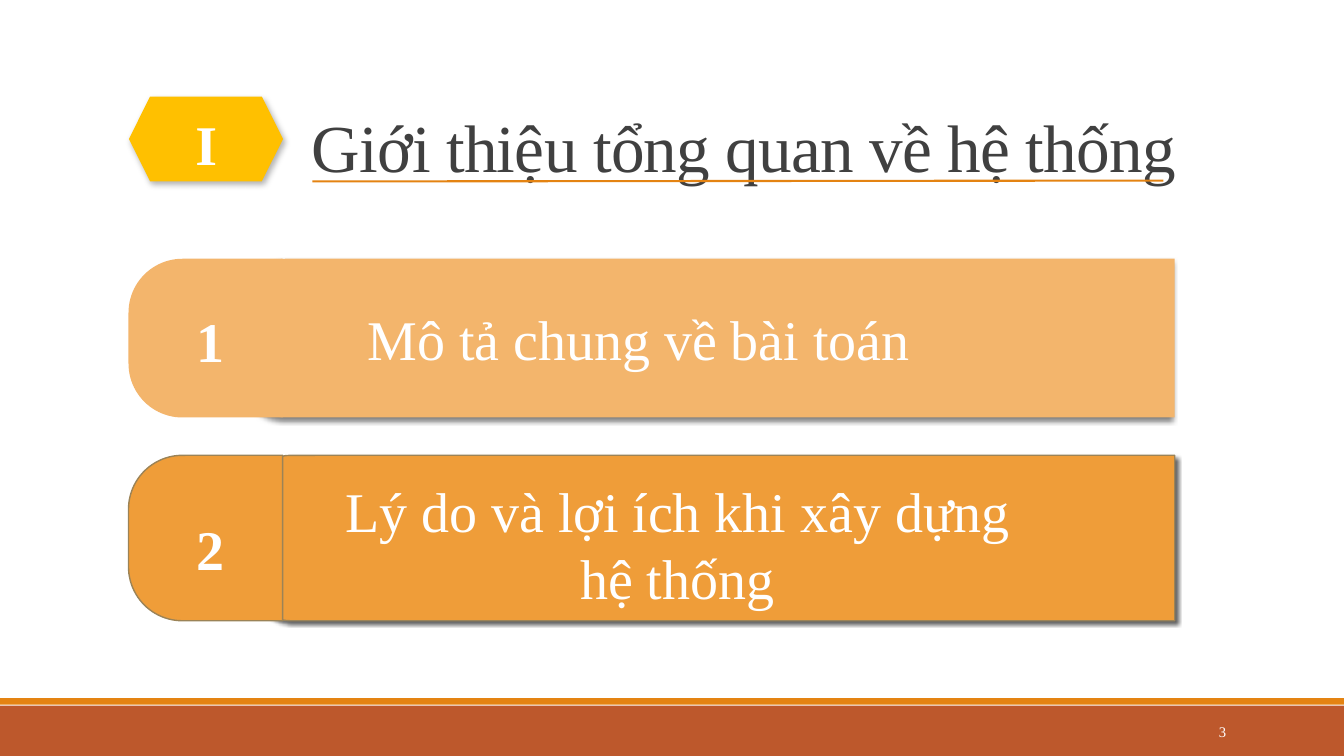
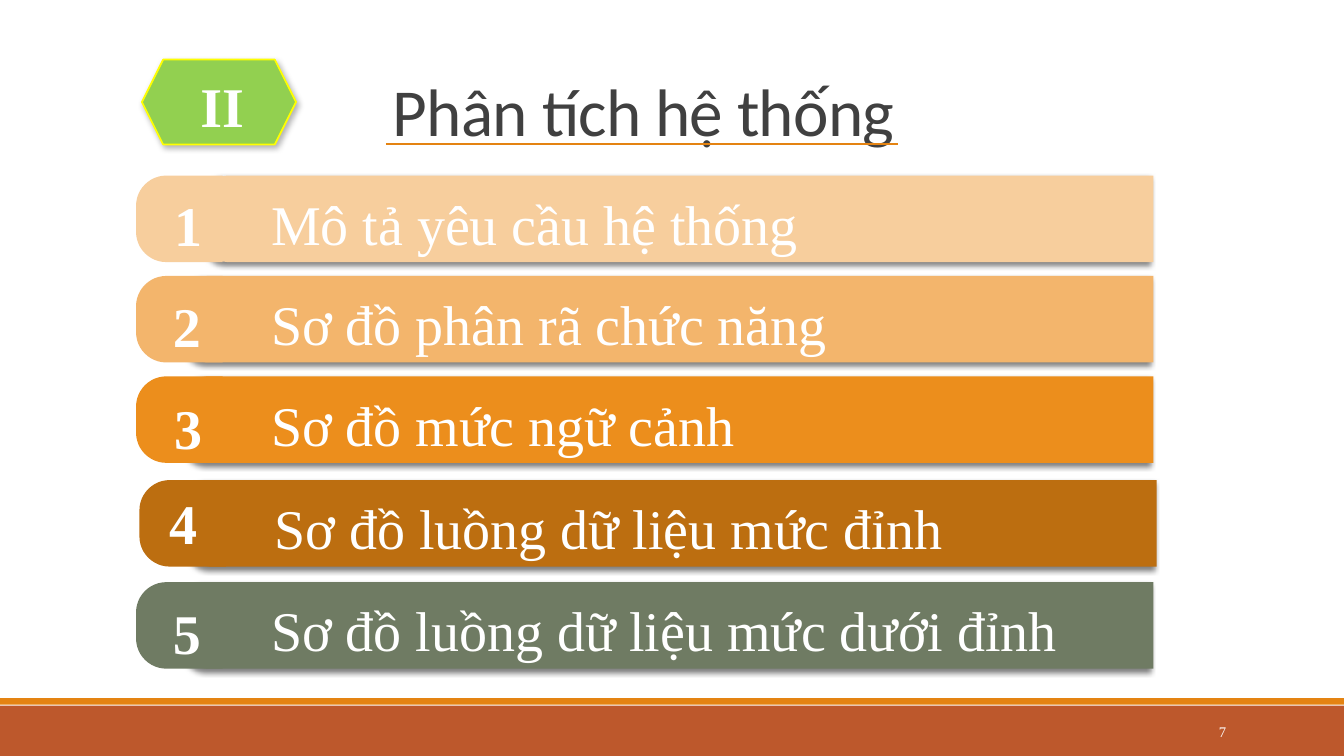
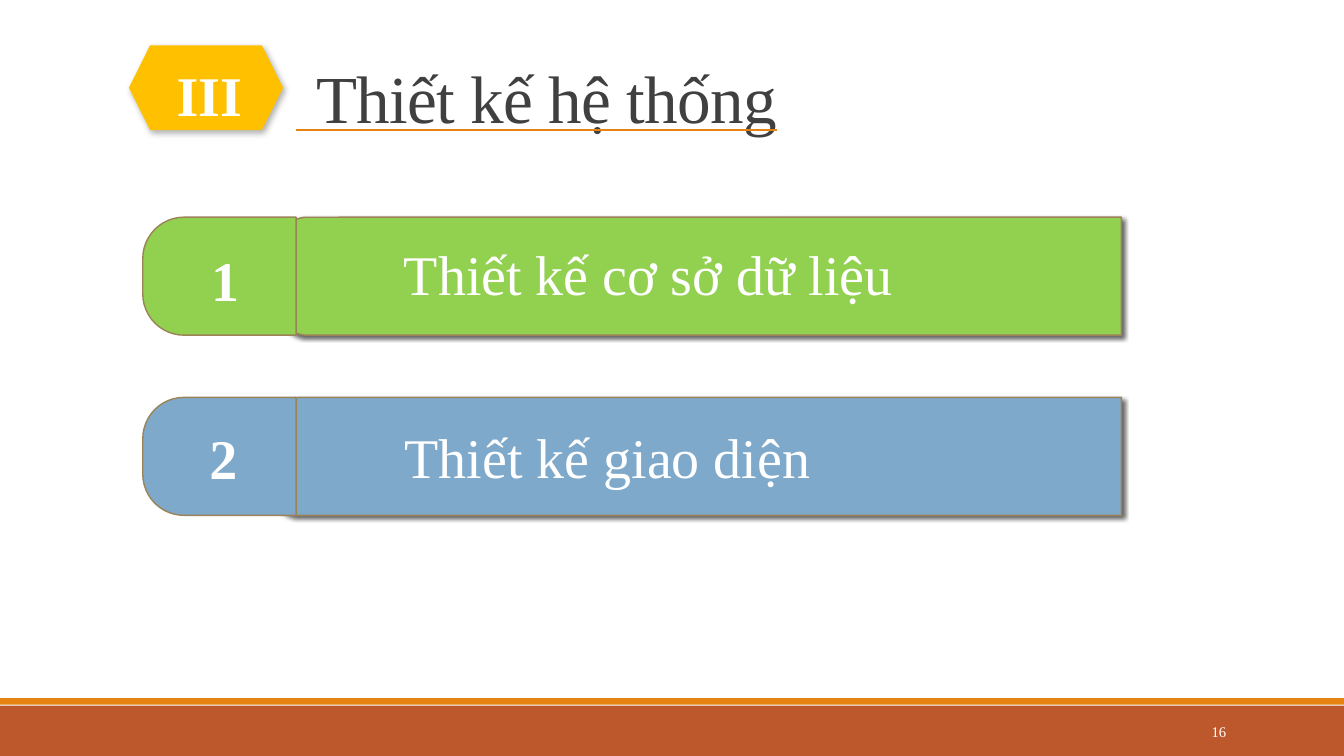
from dataclasses import dataclass
from typing import NamedTuple, Optional

from lxml import etree
from pptx import Presentation
from pptx import util as u
from pptx.dml.color import RGBColor
from pptx.enum import shapes as sh
from pptx.enum import text as tx
from pptx.oxml import ns

# The slide is a grid of 32 columns by 18 rows with square cells.
COLUMNS, ROWS = 32, 18
SLIDE_HEIGHT = u.Inches(7.5)
CELL = SLIDE_HEIGHT / ROWS

SERIF, SANS = "Times New Roman", "Calibri"
COLORS = {
    "footer": "BD582C", "accent": "E48312", "title": "404040", "white": "FFFFFF",
    "gold": "FFC000", "green": "92D050", "yellow": "FFFF00", "outline": "9B8357",
    "cream": "F7CE9D", "peach": "F3B56C", "amber": "EF9D39", "orange": "EC8E1C",
    "brown": "BC6E10", "olive": "6F7B63", "blue": "7EA9CA",
}
LEFT, CENTER, RIGHT = tx.PP_ALIGN.LEFT, tx.PP_ALIGN.CENTER, tx.PP_ALIGN.RIGHT
TOP, MIDDLE, BOTTOM = tx.MSO_ANCHOR.TOP, tx.MSO_ANCHOR.MIDDLE, tx.MSO_ANCHOR.BOTTOM


class Box(NamedTuple):
    left: float
    top: float
    width: float
    height: float


class Point(NamedTuple):
    x: float
    y: float


class Shadow(NamedTuple):
    opacity: int
    blur: float
    distance: float
    angle: int


class Outline(NamedTuple):
    color: str
    points: float


class TextStyle(NamedTuple):
    size: float
    color: str = "white"
    font: str = SERIF
    bold: bool = False
    align: tx.PP_ALIGN = LEFT
    anchor: tx.MSO_ANCHOR = TOP


SOFT_SHADOW = Shadow(50, 4, 3, 135)
HARD_SHADOW = Shadow(60, 3, 2, 45)
HEXAGON_SHADOW = Shadow(30, 4.5, 2.6, 53)
BAR_OUTLINE = Outline("outline", 1)
NUMERAL = TextStyle(40, bold=True, align=CENTER, anchor=MIDDLE)
PAGE_NUMBER = TextStyle(10.5, align=RIGHT, anchor=MIDDLE)


@dataclass
class Topic:
    label: str
    color: str
    top: float
    height: float
    bar_left: float
    numeral: Point
    label_at: Point
    label_width: float = 20.76
    shift: float = 0
    outlined: bool = False


@dataclass
class Section:
    numeral: str
    title: str
    page: int
    hexagon: Point
    hexagon_color: str
    numeral_at: Point
    title_left: float
    title_bottom: float
    rule: tuple[Point, Point]
    cap_left: float
    cap_width: float
    bar_right: float
    topics: list[Topic]
    title_font: str = SERIF
    label_align: tx.PP_ALIGN = CENTER
    hexagon_outline: Optional[Outline] = None


SECTIONS = [
    Section(
        "I", "Giới thiệu tổng quan về hệ thống", 3,
        Point(3.07, 2.3), "gold", Point(4.91, 3.4), 7.18, 4.56,
        (Point(7.44, 4.32), Point(27.7, 4.3)), 3.06, 3.67, 27.97,
        [
            Topic("Mô tả chung về bài toán", "peach", 6.16, 3.78, 5.92,
                  Point(5, 8.1), Point(7.44, 7.13), 15.53),
            Topic("Lý do và lợi ích khi xây dựng hệ thống", "amber", 10.84, 3.94, 6.01,
                  Point(5, 13.04), Point(7.85, 11.23), 16.56, outlined=True),
        ],
    ),
    Section(
        "II", "Phân tích hệ thống", 7,
        Point(3.38, 1.42), "green", Point(5.29, 2.51), 9.12, 3.7,
        (Point(9.19, 3.43), Point(21.38, 3.43)), 3.24, 2.06, 27.46,
        [
            Topic("Mô tả yêu cầu hệ thống", "cream", 4.18, 2.06, 4.94,
                  Point(4.48, 5.34), Point(6.22, 4.39)),
            Topic("Sơ đồ phân rã chức năng", "peach", 6.57, 2.06, 4.45,
                  Point(4.45, 7.74), Point(6.22, 6.77)),
            Topic("Sơ đồ mức ngữ cảnh", "orange", 8.96, 2.06, 4.45,
                  Point(4.48, 10.16), Point(6.22, 9.17)),
            Topic("Sơ đồ luồng dữ liệu mức đỉnh", "brown", 11.43, 2.06, 4.45,
                  Point(4.36, 12.44), Point(6.3, 11.64), shift=0.08),
            Topic("Sơ đồ luồng dữ liệu mức dưới đỉnh", "olive", 13.86, 2.06, 4.45,
                  Point(4.45, 15.06), Point(6.22, 14.06)),
        ],
        title_font=SANS, label_align=LEFT, hexagon_outline=Outline("yellow", 1.25),
    ),
    Section(
        "III", "Thiết kế hệ thống", 16,
        Point(3.07, 1.08), "gold", Point(4.98, 2.24), 7.3, 3.38,
        (Point(7.06, 3.1), Point(18.5, 3.1)), 3.4, 3.65, 26.7,
        [
            Topic("Thiết kế cơ sở dữ liệu", "green", 5.17, 2.81, 6.66,
                  Point(5.36, 6.64), Point(6.1, 5.59), 18.67, outlined=True),
            Topic("Thiết kế giao diện", "blue", 9.46, 2.81, 6.46,
                  Point(5.32, 10.88), Point(5.14, 9.94), 18.65, outlined=True),
        ],
    ),
]


def emu(cells: float) -> int:
    return round(cells * CELL)


def rgb(name: str) -> RGBColor:
    return RGBColor.from_string(COLORS[name])


def add_shadow(shape, shadow: Shadow) -> None:
    effects = etree.SubElement(shape.element.spPr, ns.qn("a:effectLst"))
    outer = etree.SubElement(
        effects, ns.qn("a:outerShdw"), blurRad=str(u.Pt(shadow.blur)),
        dist=str(u.Pt(shadow.distance)), dir=str(shadow.angle * 60000),
        algn="ctr", rotWithShape="0")
    color = etree.SubElement(outer, ns.qn("a:srgbClr"), val="000000")
    etree.SubElement(color, ns.qn("a:alpha"), val=str(shadow.opacity * 1000))


def add_filled(slide, kind: sh.MSO_SHAPE, box: Box, color: str,
               outline: Optional[Outline] = None, shadow: Optional[Shadow] = None):
    shape = slide.shapes.add_shape(kind, *map(emu, box))
    shape.fill.solid()
    shape.fill.fore_color.rgb = rgb(color)
    if outline:
        shape.line.color.rgb = rgb(outline.color)
        shape.line.width = u.Pt(outline.points)
    else:
        shape.line.fill.background()
    if shadow:
        add_shadow(shape, shadow)
    else:
        shape.shadow.inherit = False
    return shape


def add_left_rounded(slide, box: Box, rounding: float, color: str,
                     outline: Optional[Outline], shadow: Optional[Shadow] = None) -> None:
    """Fill box, as seen, with a top-rounded rectangle turned to round its left side."""
    turn = (box.width - box.height) / 2
    upright = Box(box.left + turn, box.top - turn, box.height, box.width)
    shape = add_filled(slide, sh.MSO_SHAPE.ROUND_2_SAME_RECTANGLE, upright,
                       color, outline, shadow)
    shape.rotation = 270
    shape.adjustments[0] = rounding
    shape.adjustments[1] = 0


def add_text(slide, box: Box, words: str, style: TextStyle):
    frame = slide.shapes.add_textbox(*map(emu, box)).text_frame
    frame.word_wrap = True
    frame.vertical_anchor = style.anchor
    frame.text = words
    paragraph = frame.paragraphs[0]
    paragraph.alignment = style.align
    font = paragraph.runs[0].font
    font.name, font.size, font.bold = style.font, u.Pt(style.size), style.bold
    font.color.rgb = rgb(style.color)
    return paragraph


def add_numeral(slide, center: Point, numeral: str) -> None:
    width, height = 2.8, 1.85
    box = Box(center.x - width / 2, center.y - height / 2, width, height)
    add_text(slide, box, numeral, NUMERAL)


def add_footer(slide, page: int) -> None:
    add_filled(slide, sh.MSO_SHAPE.RECTANGLE, Box(0, 16.8, COLUMNS, 1.2), "footer")
    add_filled(slide, sh.MSO_SHAPE.RECTANGLE, Box(0, 16.62, COLUMNS, 0.16), "accent")
    add_text(slide, Box(26, 16.94, 3.43, 0.96), str(page), PAGE_NUMBER)


def add_heading(slide, section: Section) -> None:
    height = 2.4
    title = add_text(
        slide, Box(section.title_left, section.title_bottom - height, 24, height),
        section.title, TextStyle(48, "title", section.title_font, anchor=BOTTOM))
    title.line_spacing = 0.85
    title.runs[0].font._element.set("spc", "-50")

    add_filled(slide, sh.MSO_SHAPE.HEXAGON, Box(*section.hexagon, 3.67, 2.02),
               section.hexagon_color, section.hexagon_outline, HEXAGON_SHADOW)
    add_numeral(slide, section.numeral_at, section.numeral)

    start, end = section.rule
    rule = slide.shapes.add_connector(
        sh.MSO_CONNECTOR.STRAIGHT, *map(emu, (*start, *end)))
    rule.line.color.rgb = rgb("accent")
    rule.line.width = u.Pt(1.5)
    etree.SubElement(rule._element.spPr, ns.qn("a:effectLst"))


def add_topic(slide, section: Section, number: int, topic: Topic) -> None:
    outline = BAR_OUTLINE if topic.outlined else None
    bar_shadow = HARD_SHADOW if topic.outlined else SOFT_SHADOW
    bar = Box(topic.bar_left + topic.shift, topic.top,
              section.bar_right - topic.bar_left, topic.height)
    cap = Box(section.cap_left + topic.shift, topic.top, section.cap_width, topic.height)
    add_left_rounded(slide, bar, 0.23, topic.color, outline, bar_shadow)
    add_left_rounded(slide, cap, 0.35, topic.color, outline)
    add_text(slide, Box(*topic.label_at, topic.label_width, 1.85), topic.label,
             TextStyle(40, align=section.label_align))
    add_numeral(slide, topic.numeral, str(number))


def main() -> None:
    deck = Presentation()
    deck.slide_width, deck.slide_height = emu(COLUMNS), SLIDE_HEIGHT
    blank = deck.slide_layouts[6]
    for section in SECTIONS:
        slide = deck.slides.add_slide(blank)
        add_footer(slide, section.page)
        add_heading(slide, section)
        for number, topic in enumerate(section.topics, start=1):
            add_topic(slide, section, number, topic)
    deck.save("out.pptx")


if __name__ == "__main__":
    main()
